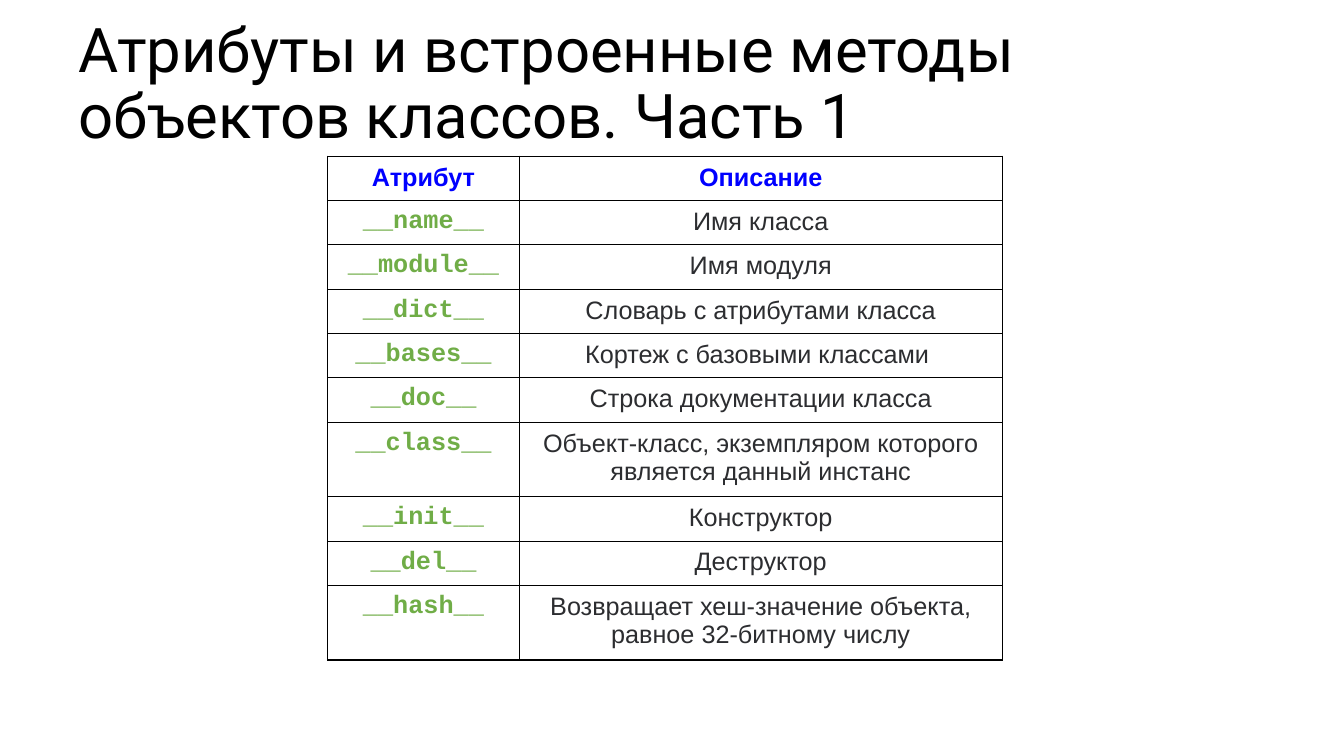
from lxml.etree import SubElement
from pptx import Presentation
from pptx.dml.color import RGBColor
from pptx.enum.text import MSO_ANCHOR, PP_ALIGN
from pptx.oxml.ns import qn
from pptx.util import Inches, Pt

BLACK, BLUE, GREEN, GRAY = "000000", "0000FF", "70AD47", "2C2D30"
LINE_HEIGHT, CELL_MARGIN = 0.28, 0.07

HEADER = ("Атрибут", "Описание")
ATTRIBUTES = [  # name, description, lines of text
    ("__name__", "Имя класса", 1),
    ("__module__", "Имя модуля", 1),
    ("__dict__", "Словарь с атрибутами класса", 1),
    ("__bases__", "Кортеж с базовыми классами ", 1),
    ("__doc__", "Строка документации класса", 1),
    ("__class__", "Объект-класс, экземпляром которого является данный инстанс", 2),
    ("__init__", "Конструктор", 1),
    ("__del__", "Деструктор", 1),
    ("__hash__", "Возвращает хеш-значение объекта, равное 32-битному числу", 2),
]


def rgb(color):
    return RGBColor.from_string(color)


class SlideBuilder:
    def __init__(self, slide, title_font="Roboto", text_font="Arial", code_font="Courier New"):
        self.slide = slide
        self.title_font = title_font
        self.text_font = text_font
        self.code_font = code_font

    def run(self, p, text, size, font, color, bold=False):
        r = p.add_run()
        r.text = text
        r.font.size = Pt(size)
        r.font.name = font
        r.font.bold = bold
        r.font.color.rgb = rgb(color)

    def title(self, text, left, top, width, height):
        sp = self.slide.shapes.add_textbox(
            Inches(left), Inches(top), Inches(width), Inches(height))
        tf = sp.text_frame
        tf.word_wrap = True
        tf.vertical_anchor = MSO_ANCHOR.BOTTOM
        p = tf.paragraphs[0]
        p.line_spacing = 0.9
        self.run(p, text, 44, self.title_font, BLACK)

    def borders(self, cell, color=BLACK, width=1):
        tcPr = cell._tc.get_or_add_tcPr()
        for side in ("lnL", "lnR", "lnT", "lnB"):
            ln = SubElement(tcPr, qn(f"a:{side}"), w=str(Pt(width)))
            fill = SubElement(ln, qn("a:solidFill"))
            SubElement(fill, qn("a:srgbClr"), val=color)

    def cell(self, cell, text, font, color, bold):
        self.borders(cell)
        cell.fill.background()
        cell.margin_left = cell.margin_right = Inches(CELL_MARGIN)
        cell.margin_top = cell.margin_bottom = Inches(CELL_MARGIN)
        p = cell.text_frame.paragraphs[0]
        p.alignment = PP_ALIGN.CENTER
        self.run(p, text, 18, font, color, bold)

    def attribute_table(self, header, attributes, left, top, widths):
        heights = [lines * LINE_HEIGHT + 2 * CELL_MARGIN
                   for lines in [1] + [lines for _, _, lines in attributes]]
        table = self.slide.shapes.add_table(
            len(heights), len(widths), Inches(left), Inches(top),
            Inches(sum(widths)), Inches(sum(heights))).table
        table.horz_banding = False
        for column, width in zip(table.columns, widths):
            column.width = Inches(width)
        for row, height in zip(table.rows, heights):
            row.height = Inches(height)
        for col, text in enumerate(header):
            self.cell(table.cell(0, col), text, self.text_font, BLUE, True)
        for row, (name, description, _) in enumerate(attributes, 1):
            self.cell(table.cell(row, 0), name, self.code_font, GREEN, True)
            self.cell(table.cell(row, 1), description, self.text_font, GRAY, False)


def main():
    prs = Presentation()
    prs.slide_width, prs.slide_height = Inches(13.33), Inches(7.5)
    s = SlideBuilder(prs.slides.add_slide(prs.slide_layouts[6]))
    s.title("Атрибуты и встроенные методы объектов классов. Часть 1", 0.68, 0.7, 11.82, 0.86)
    s.attribute_table(HEADER, ATTRIBUTES, 3.25, 1.55, (1.9, 4.79))
    prs.save("out.pptx")


if __name__ == "__main__":
    main()
